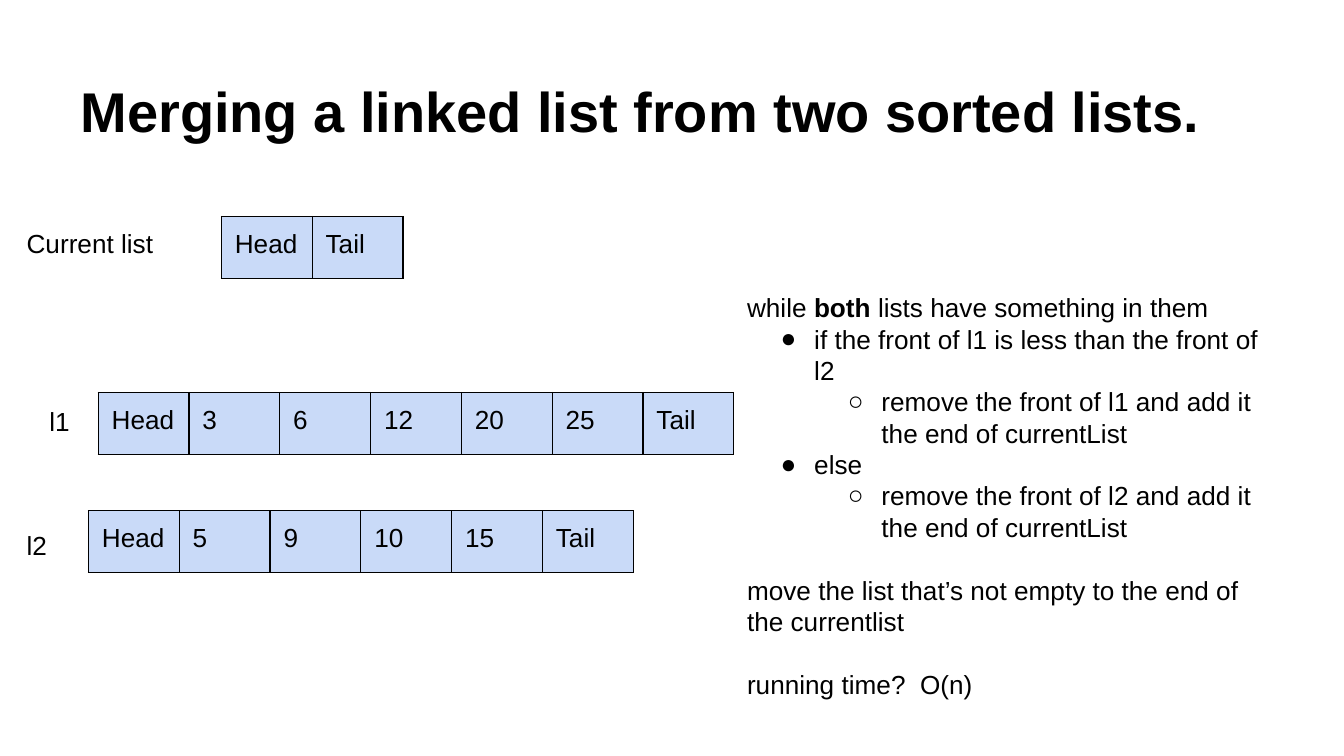
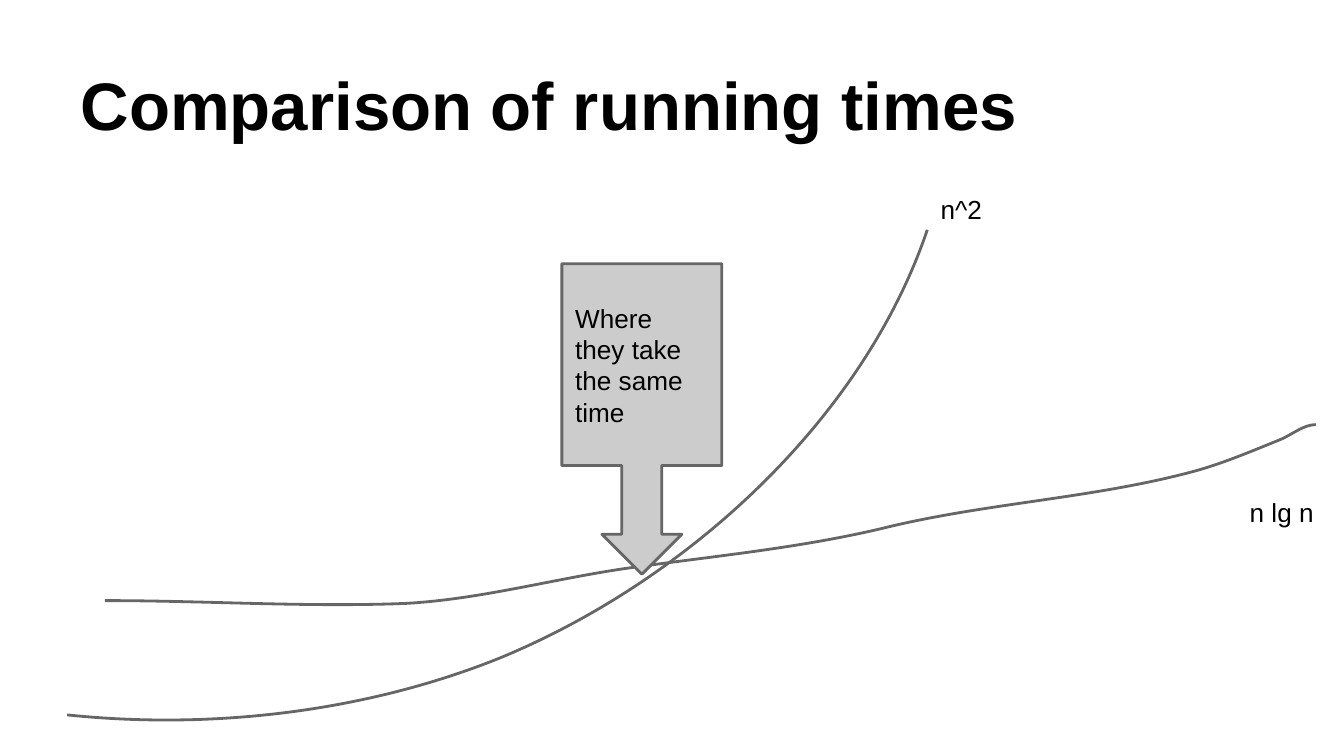
from dataclasses import dataclass
from typing import Any, NamedTuple

from lxml.etree import SubElement
from pptx import Presentation
from pptx.dml.color import RGBColor
from pptx.enum.shapes import MSO_SHAPE
from pptx.enum.text import MSO_ANCHOR, MSO_AUTO_SIZE, PP_ALIGN
from pptx.oxml import parse_xml
from pptx.oxml.ns import nsdecls, qn
from pptx.util import Pt


@dataclass(frozen=True)
class Theme:
    """Colours, type sizes and line weights of the deck."""
    font: str = "Arial"
    text: str = "000000"
    node: str = "C9DAF8"
    callout: str = "CCCCCC"
    stroke: str = "666666"
    body_size: float = 14
    long_title_size: float = 30
    title_size: float = 36
    border_width: float = 0.75
    stroke_width: float = 1.5
    inset: float = 7.2


class Box(NamedTuple):
    """A place on the slide, in points."""
    left: float
    top: float
    width: float
    height: float

    def lengths(self) -> list[Pt]:
        """Return the four values as lengths."""
        return [Pt(value) for value in self]


class LinkedList(NamedTuple):
    """A row of list nodes and its caption."""
    caption: str
    caption_at: tuple[float, float]
    nodes_at: tuple[float, float]
    values: tuple[str, ...]


class Step(NamedTuple):
    """A paragraph of the algorithm; level 0 has no bullet."""
    runs: tuple[tuple[str, bool], ...]
    level: int = 0
    gap: float = 0


class Growth(NamedTuple):
    """A running-time curve of cubic segments and its label."""
    label: str
    label_at: Box
    start: tuple[float, float]
    controls: tuple[tuple[float, float], ...]


THEME = Theme()
TITLE_BOX = Box(36, 16.56, 648, 67.7)
NODE_WIDTH, NODE_HEIGHT = 48.65, 33.12
CAPTION_SIZE = (83.5, 40.3)
STEPS_BOX = Box(393.1, 149, 288.7, 203)
CALLOUT_BOX = Box(301, 141.3, 85.7, 166.3)
BULLETS = {1: "●", 2: "○"}
INDENT, HANGING, SECTION_GAP = 36, 18, 16.8

LISTS = (
    LinkedList("Current list", (7.2, 114.5), (118.6, 116), ("Head", "Tail")),
    LinkedList("l1", (19.4, 210.2), (52.6, 210.2),
               ("Head", "3", "6", "12", "20", "25", "Tail")),
    LinkedList("l2", (7.2, 276.5), (47.4, 273.6),
               ("Head", "5", "9", "10", "15", "Tail")),
)

STEPS = (
    Step((("while ", False), ("both", True), (" lists have something in them", False))),
    Step((("if the front of l1 is less than the front of l2", False),), 1),
    Step((("remove the front of l1 and add it the end of currentList", False),), 2),
    Step((("else", False),), 1),
    Step((("remove the front of l2 and add it the end of currentList", False),), 2),
    Step((("move the list that’s not empty to the end of the currentlist", False),),
         gap=SECTION_GAP),
    Step((("running time?  O(n)", False),), gap=SECTION_GAP),
)

GROWTHS = (
    Growth("n^2", Box(496.8, 96.5, 56.9, 44.6), (36, 383),
           ((113, 391), (195.1, 381.6), (267.1, 352.8),
            (367.2, 311.8), (462.2, 225.4), (496.8, 123.1))),
    Growth("n lg n", Box(662.4, 258.5, 57.6, 44.6), (56.2, 321.8),
           ((110.2, 321.8), (164.2, 325.4), (217.4, 323.3),
            (257, 321.1), (295.9, 310.3), (334.8, 304.6),
            (380.9, 298.1), (427.7, 293.8), (473, 283),
            (528.5, 269.3), (586.8, 267.1), (641.5, 252),
            (656.6, 247.7), (671.8, 241.2), (686.2, 235.4),
            (692.6, 232.6), (698.4, 227.5), (704.9, 227.5))),
)


def apply_format(target: Any, values: dict[str, Any]) -> None:
    """Set each named attribute on the target."""
    for name, value in values.items():
        setattr(target, name, value)


def set_insets(target: Any) -> None:
    """Give a text frame or a cell the shared inset on all sides."""
    apply_format(target, {f"margin_{side}": Pt(THEME.inset)
                          for side in ("left", "right", "top", "bottom")})


def add_run(paragraph: Any, words: str, size: float = THEME.body_size,
            bold: bool = False) -> None:
    """Append words in the deck's font."""
    run = paragraph.add_run()
    run.text = words
    apply_format(run.font, {"name": THEME.font, "size": Pt(size), "bold": bold})
    run.font.color.rgb = RGBColor.from_string(THEME.text)


def prepare_frame(frame: Any, anchor: MSO_ANCHOR = MSO_ANCHOR.TOP) -> Any:
    """Set wrapping, anchor, insets and left alignment, and return the frame."""
    apply_format(frame, {"word_wrap": True, "vertical_anchor": anchor,
                         "auto_size": MSO_AUTO_SIZE.NONE})
    set_insets(frame)
    frame.paragraphs[0].alignment = PP_ALIGN.LEFT
    return frame


def add_titled_slide(deck: Any, title: str, size: float) -> Any:
    """Add a title-only slide with its bold title."""
    slide = deck.slides.add_slide(deck.slide_layouts[5])
    heading = slide.shapes.title
    apply_format(heading, dict(zip(Box._fields, TITLE_BOX.lengths())))
    frame = prepare_frame(heading.text_frame, MSO_ANCHOR.BOTTOM)
    add_run(frame.paragraphs[0], title, size, bold=True)
    return slide


def add_label(slide: Any, words: str, box: Box) -> None:
    """Add a short line of text."""
    frame = prepare_frame(slide.shapes.add_textbox(*box.lengths()).text_frame)
    add_run(frame.paragraphs[0], words)


def add_borders(cell: Any) -> None:
    """Draw a thin line on the four sides of a cell."""
    properties = cell._tc.get_or_add_tcPr()
    for position, side in enumerate("LRTB"):
        properties.insert(position, parse_xml(
            f'<a:ln{side} {nsdecls("a")} w="{Pt(THEME.border_width)}"><a:solidFill>'
            f'<a:srgbClr val="{THEME.text}"/></a:solidFill></a:ln{side}>'))


def add_linked_list(slide: Any, linked: LinkedList) -> None:
    """Draw the nodes as a one-row table, with the caption beside it."""
    count = len(linked.values)
    box = Box(*linked.nodes_at, NODE_WIDTH * count, NODE_HEIGHT)
    table = slide.shapes.add_table(1, count, *box.lengths()).table
    apply_format(table, {"first_row": False, "horz_banding": False})
    for column, value in enumerate(linked.values):
        table.columns[column].width = Pt(NODE_WIDTH)
        cell = table.cell(0, column)
        set_insets(cell)
        cell.fill.solid()
        cell.fill.fore_color.rgb = RGBColor.from_string(THEME.node)
        add_borders(cell)
        add_run(cell.text_frame.paragraphs[0], value)
    add_label(slide, linked.caption, Box(*linked.caption_at, *CAPTION_SIZE))


def add_bullet(paragraph: Any, level: int) -> None:
    """Indent a paragraph and give it the bullet of its level."""
    paragraph.level = level - 1
    properties = paragraph._p.get_or_add_pPr()
    properties.set("marL", str(Pt(INDENT * level)))
    properties.set("indent", str(-Pt(HANGING)))
    colour = SubElement(properties, qn("a:buClr"))
    SubElement(colour, qn("a:srgbClr"), val=THEME.text)
    SubElement(properties, qn("a:buFont"), typeface=THEME.font)
    SubElement(properties, qn("a:buChar"), char=BULLETS[level])


def add_steps(slide: Any) -> None:
    """Write the merge algorithm as nested steps."""
    frame = prepare_frame(slide.shapes.add_textbox(*STEPS_BOX.lengths()).text_frame)
    for index, step in enumerate(STEPS):
        paragraph = frame.add_paragraph() if index else frame.paragraphs[0]
        apply_format(paragraph, {"alignment": PP_ALIGN.LEFT,
                                 "space_before": Pt(step.gap)})
        if step.level:
            add_bullet(paragraph, step.level)
        for words, bold in step.runs:
            add_run(paragraph, words, bold=bold)


def set_stroke(shape: Any) -> None:
    """Give a shape the grey outline and no shadow."""
    shape.shadow.inherit = False
    shape.line.color.rgb = RGBColor.from_string(THEME.stroke)
    shape.line.width = Pt(THEME.stroke_width)


def add_growth(slide: Any, growth: Growth) -> None:
    """Draw a smooth open curve and its label."""
    builder = slide.shapes.build_freeform(*map(Pt, growth.start), scale=1.0)
    builder.add_line_segments([(Pt(x), Pt(y)) for x, y in growth.controls],
                              close=False)
    curve = builder.convert_to_shape()
    curve.fill.background()
    set_stroke(curve)
    outline = next(curve._element.iter(qn("a:path")))
    lines = outline.findall(qn("a:lnTo"))
    for first in range(0, len(lines), 3):
        bezier = SubElement(outline, qn("a:cubicBezTo"))
        for line in lines[first:first + 3]:
            bezier.append(line[0])
            outline.remove(line)
    add_label(slide, growth.label, growth.label_at)


def add_crossing_callout(slide: Any) -> None:
    """Point at the place where the two curves meet."""
    callout = slide.shapes.add_shape(MSO_SHAPE.DOWN_ARROW_CALLOUT,
                                     *CALLOUT_BOX.lengths())
    for index, value in enumerate((0.25, 0.25, 0.25, 0.65)):
        callout.adjustments[index] = value
    callout.fill.solid()
    callout.fill.fore_color.rgb = RGBColor.from_string(THEME.callout)
    set_stroke(callout)
    frame = prepare_frame(callout.text_frame, MSO_ANCHOR.MIDDLE)
    add_run(frame.paragraphs[0], "Where they take the same time")


def main() -> None:
    """Build and save the deck."""
    deck = Presentation()
    apply_format(deck, {"slide_width": Pt(720), "slide_height": Pt(405)})

    merging = add_titled_slide(deck, "Merging a linked list from two sorted lists.",
                               THEME.long_title_size)
    for linked in LISTS:
        add_linked_list(merging, linked)
    add_steps(merging)

    comparison = add_titled_slide(deck, "Comparison of running times",
                                  THEME.title_size)
    for growth in GROWTHS:
        add_growth(comparison, growth)
    add_crossing_callout(comparison)

    deck.save("out.pptx")


main()
